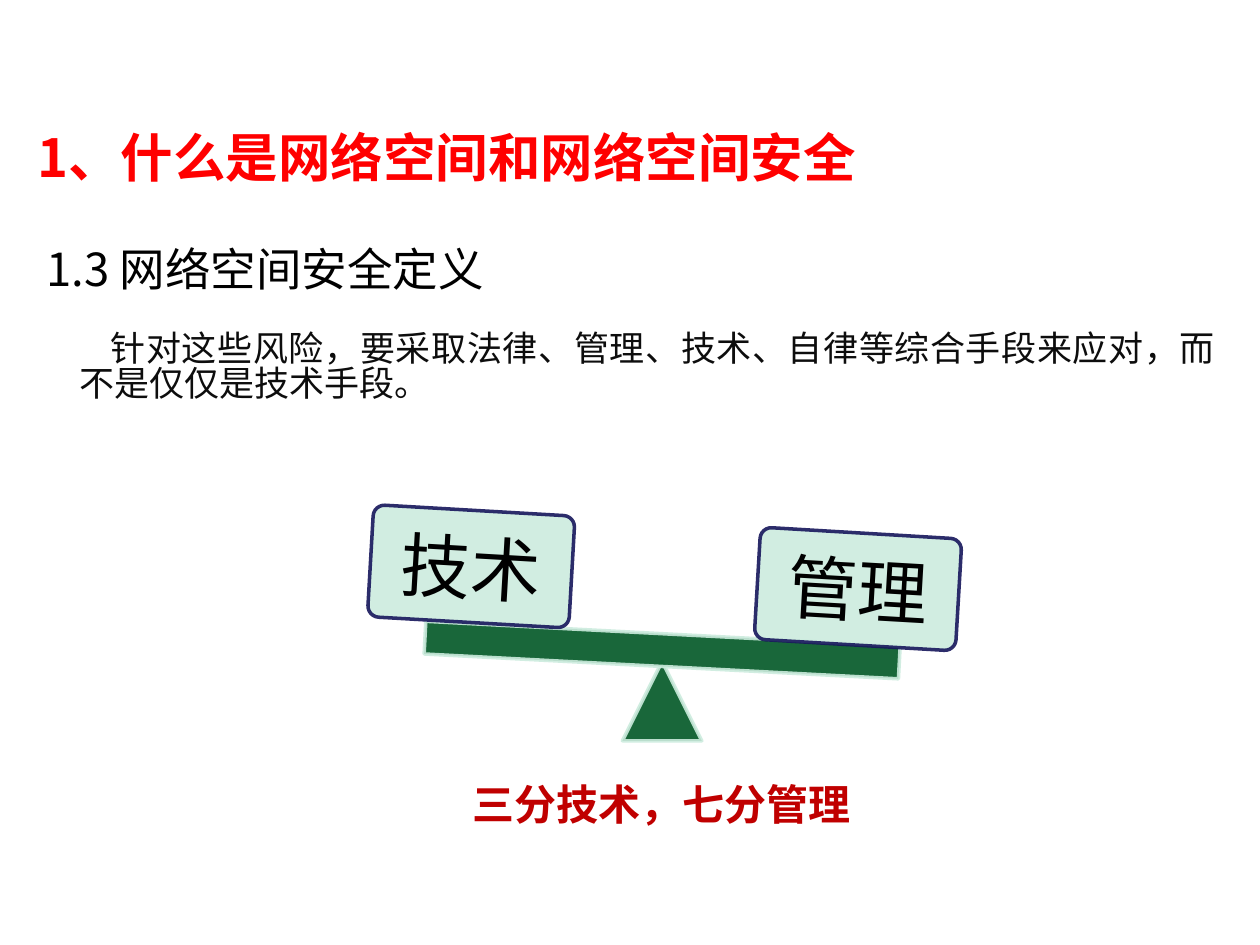
from pptx import Presentation
from pptx.dml.color import RGBColor
from pptx.enum.shapes import MSO_SHAPE
from pptx.enum.text import MSO_ANCHOR, PP_ALIGN
from pptx.oxml.ns import qn
from pptx.util import Inches, Pt
from lxml import etree

TRIANGLE = MSO_SHAPE.ISOSCELES_TRIANGLE
RECTANGLE = MSO_SHAPE.RECTANGLE
ROUNDED = MSO_SHAPE.ROUNDED_RECTANGLE
TOP, MIDDLE = MSO_ANCHOR.TOP, MSO_ANCHOR.MIDDLE
LEFT, CENTER, JUSTIFY = PP_ALIGN.LEFT, PP_ALIGN.CENTER, PP_ALIGN.JUSTIFY

RED = RGBColor(0xFF, 0x00, 0x00)
DARK_RED = RGBColor(0xC0, 0x00, 0x00)
BLACK = RGBColor(0x00, 0x00, 0x00)
NEAR_BLACK = RGBColor(0x0D, 0x0D, 0x0D)
GREEN = RGBColor(0x00, 0x57, 0x25)
MINT = RGBColor(0xCC, 0xEC, 0xDE)
NAVY = RGBColor(0x17, 0x17, 0x5C)


class SlideBuilder:
    font_name = "Noto Sans CJK SC"
    opacity = 90
    line_width = Pt(2)

    def __init__(self, slide):
        self.slide = slide

    def fill_text(self, text_frame, text, size, color, bold=False, align=LEFT):
        text_frame.text = text
        paragraph = text_frame.paragraphs[0]
        paragraph.alignment = align
        for run in paragraph.runs:
            run.font.name = self.font_name
            run.font.size = Pt(size)
            run.font.bold = bold
            run.font.color.rgb = color
            east_asian = etree.SubElement(run._r.get_or_add_rPr(), qn("a:ea"))
            east_asian.set("typeface", self.font_name)
        return paragraph

    def text(self, box, text, size, color, bold=False, align=LEFT,
             anchor=TOP, wrap=True):
        shape = self.slide.shapes.add_textbox(*map(Inches, box))
        text_frame = shape.text_frame
        text_frame.word_wrap = wrap
        text_frame.vertical_anchor = anchor
        return self.fill_text(text_frame, text, size, color, bold, align)

    def indent(self, paragraph, margin, first_line):
        properties = paragraph._p.get_or_add_pPr()
        properties.set("marL", str(Inches(margin)))
        properties.set("indent", str(Inches(first_line)))

    def shape(self, kind, box, fill, line, rotation=0):
        shape = self.slide.shapes.add_shape(kind, *map(Inches, box))
        shape.shadow.inherit = False
        shape.rotation = rotation
        shape.fill.solid()
        shape.fill.fore_color.rgb = fill
        shape.line.color.rgb = line
        shape.line.width = self.line_width
        for color in shape._element.spPr.iter(qn("a:srgbClr")):
            alpha = etree.SubElement(color, qn("a:alpha"))
            alpha.set("val", str(self.opacity * 1000))
        return shape

    def weight(self, left, top, label, rotation):
        shape = self.shape(ROUNDED, (left, top, 1.6, 0.89), MINT, NAVY, rotation)
        shape.adjustments[0] = 0.1
        shape.text_frame.vertical_anchor = MIDDLE
        self.fill_text(shape.text_frame, label, 40, BLACK, align=CENTER)


def main():
    presentation = Presentation()
    presentation.slide_width = Inches(10)
    presentation.slide_height = Inches(7.5)
    slide = presentation.slides.add_slide(presentation.slide_layouts[6])
    builder = SlideBuilder(slide)

    body = builder.text(
        (0.53, 2.6, 9.21, 0.99),
        "针对这些风险，要采取法律、管理、技术、自律等综合手段来应对，而不是仅仅是技术手段。",
        20, NEAR_BLACK, align=JUSTIFY)
    builder.indent(body, 0, 0.25)
    body.line_spacing = 0.83

    builder.shape(TRIANGLE, (4.94, 5.25, 0.63, 0.63), GREEN, MINT)
    builder.shape(RECTANGLE, (3.37, 5.03, 3.77, 0.26), GREEN, MINT, 3)
    builder.weight(2.94, 4.05, "技术", 3.3)
    builder.weight(6.01, 4.23, "管理", 3.4)
    builder.text((3.65, 6.13, 3.21, 0.5), "三分技术，七分管理",
                 24, DARK_RED, bold=True, wrap=False)

    heading = builder.text((0.27, 1.86, 9.21, 0.79), "1.3 网络空间安全定义",
                           26, BLACK, align=JUSTIFY)
    builder.indent(heading, 0.38, -0.38)
    builder.text((0.2, 0.79, 8.03, 0.91), "1、什么是网络空间和网络空间安全",
                 30, RED, bold=True, anchor=MIDDLE)

    presentation.save("out.pptx")


if __name__ == "__main__":
    main()
